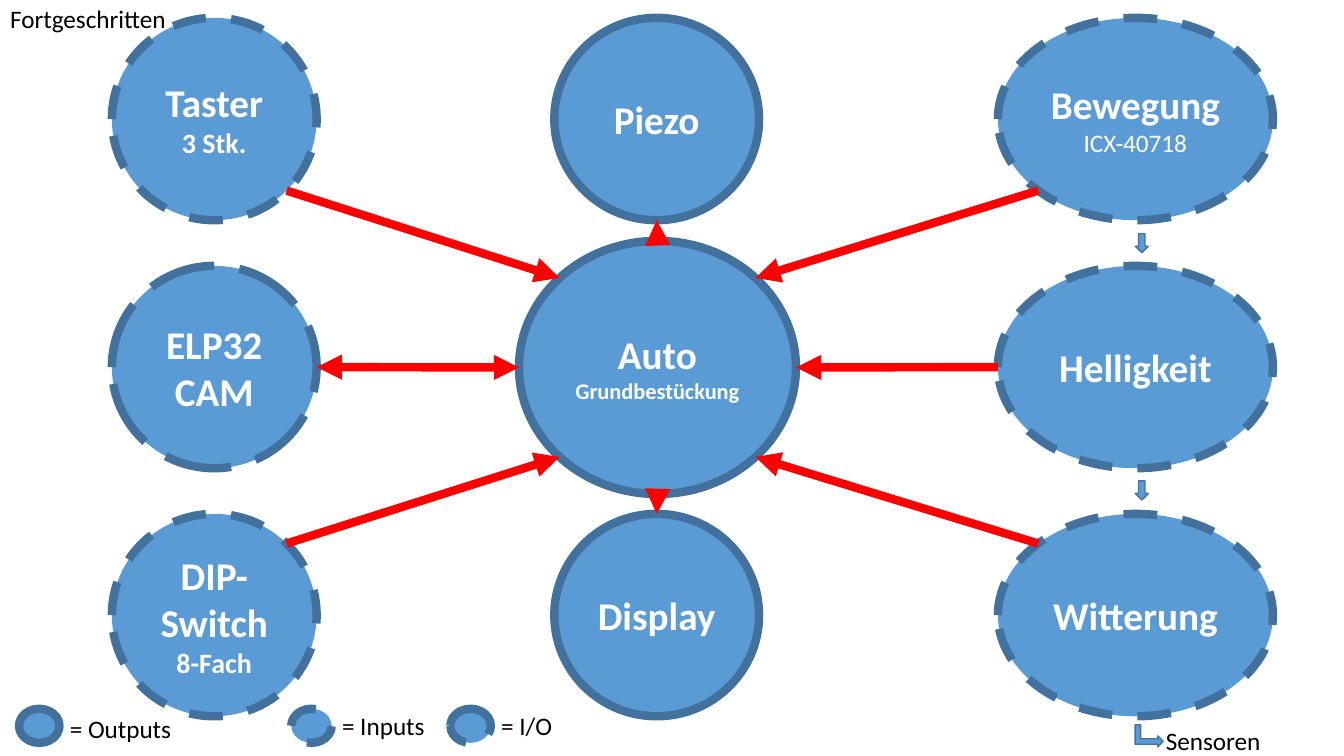
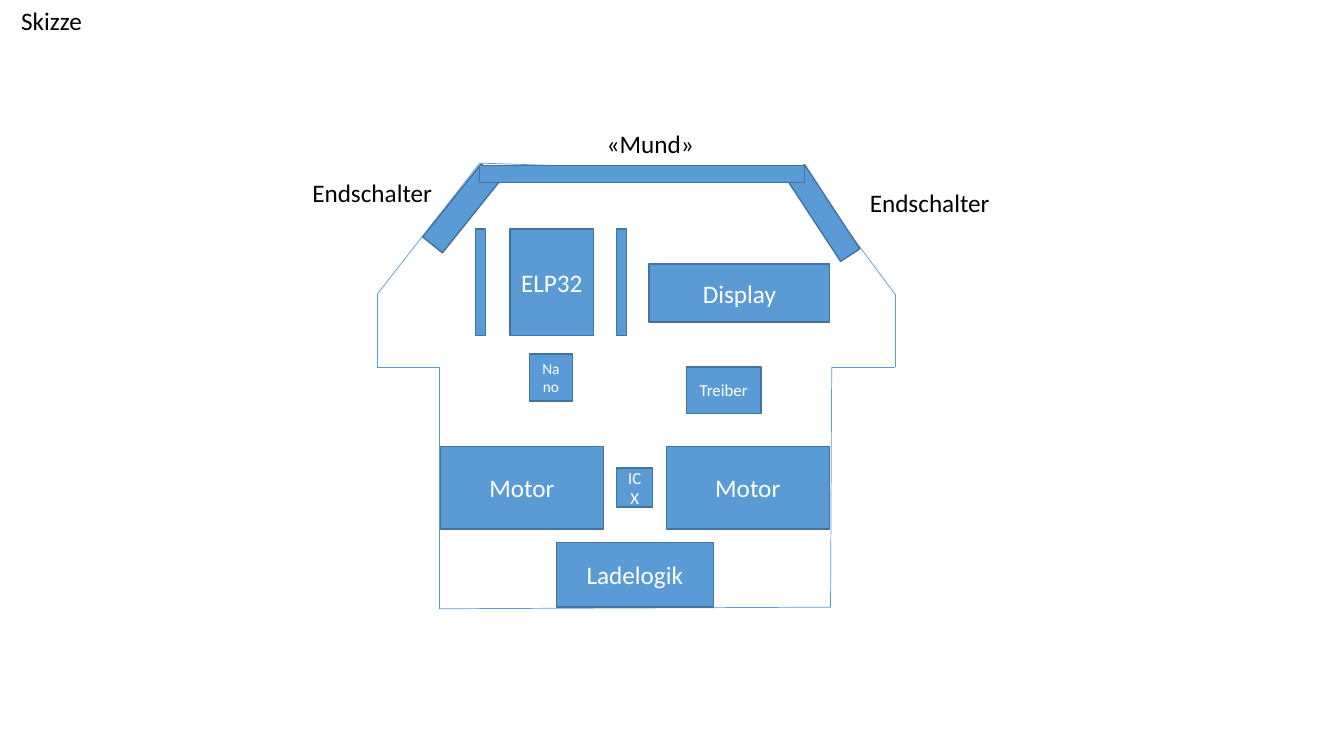
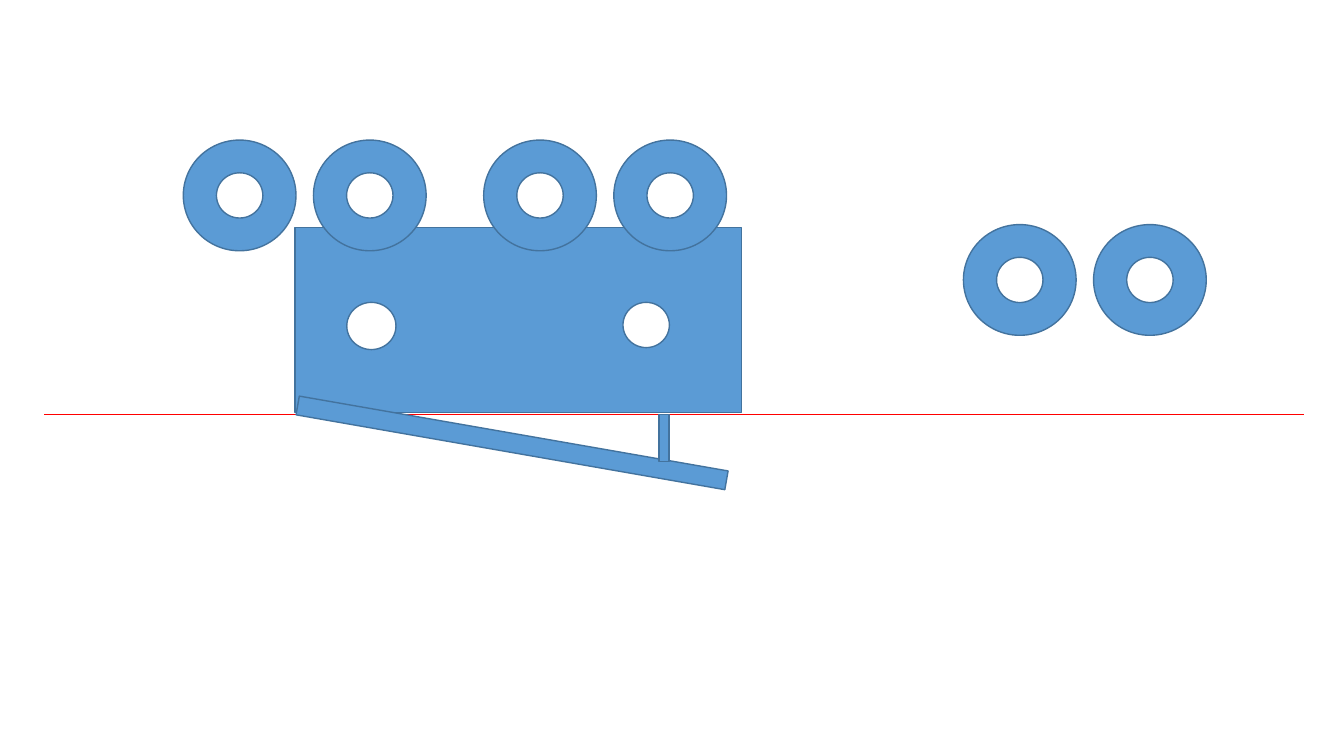
from dataclasses import dataclass
from itertools import pairwise

from lxml.etree import SubElement
from pptx import Presentation
from pptx.dml.color import RGBColor
from pptx.enum.dml import MSO_LINE as Dash
from pptx.enum.shapes import MSO_CONNECTOR, MSO_SHAPE as Kind
from pptx.enum.text import MSO_ANCHOR as Anchor, PP_ALIGN as Align
from pptx.oxml.ns import qn
from pptx.util import Cm, Pt


@dataclass(frozen=True)
class Theme:
    font: str = "Calibri"
    blue: str = "5B9BD5"
    ring: str = "41719C"
    edge: str = "43739E"
    red: str = "FF0000"
    white: str = "FFFFFF"
    black: str = "000000"
    heading: int = 28
    detail: int = 20
    body: int = 18
    note: int = 16
    small: int = 12
    tiny: int = 11
    heavy: float = 6
    thin: float = 1
    hairline: float = 0.5


THEME = Theme()

# Content, lengths in centimetres
HUB_BOX = (13.08, 6.07, 6.98, 6.38)
HUB_TEXT = [("Auto", THEME.heading, True), ("Grundbestückung", THEME.note, True)]
ROW_TOPS = [0.45, 6.7, 12.95]
NODE_HEIGHT = 5.1
COLUMNS = {-1: (2.82, 5.16), 0: (13.97, 5.16), 1: (25.15, 6.93)}
# column side, row side, dash, arrow to hub, arrow to node, text lines
NODES = [
    (-1, -1, Dash.DASH, True, False,
     [("Taster", THEME.heading, True), ("3 Stk.", THEME.detail, True)]),
    (0, -1, None, False, True, [("Piezo", THEME.heading, True)]),
    (-1, 1, Dash.DASH, True, False,
     [("DIP-Switch", THEME.heading, True), ("8-Fach", THEME.detail, True)]),
    (-1, 0, Dash.LONG_DASH, True, True, [("ELP32 CAM", THEME.heading, True)]),
    (0, 1, None, False, True, [("Display", THEME.heading, True)]),
    (1, -1, Dash.DASH, True, False,
     [("Bewegung", THEME.heading, True), ("ICX-40718", THEME.body, False)]),
    (1, 0, Dash.DASH, True, False, [("Helligkeit", THEME.heading, True)]),
    (1, 1, Dash.DASH, True, False, [("Witterung", THEME.heading, True)]),
]
LEGEND = [  # symbol left, label top, label width, dash, label
    (0.48, 17.86, 3.1, None, "= Outputs"),
    (7.34, 17.78, 2.62, Dash.DASH, "= Inputs"),
    (11.35, 17.78, 1.8, Dash.LONG_DASH, "= I/O"),
]
SENSOR_ARROWS = [
    (Kind.DOWN_ARROW, (28.61, 5.89, 0.33, 0.48), 0),
    (Kind.DOWN_ARROW, (28.61, 12.12, 0.33, 0.48), 0),
    (Kind.BENT_UP_ARROW, (28.68, 18.19, 0.56, 0.71), 90),
]

CHASSIS = [
    (11.07, 15.34), (11.07, 9.25), (9.5, 9.25), (9.5, 7.42), (12.09, 4.11),
    (20.29, 4.37), (22.56, 7.42), (22.56, 9.25), (20.96, 9.25), (20.93, 15.3),
]
PARTS = [  # box, text, size, rotation
    ((12.85, 5.77, 2.11, 2.69), "ELP32", THEME.body, 0),
    ((15.54, 5.77, 0.25, 2.69), "", THEME.body, 0),
    ((11.99, 5.77, 0.25, 2.69), "", THEME.body, 0),
    ((16.36, 6.65, 4.55, 1.47), "Display", THEME.body, 0),
    ((13.34, 8.92, 1.09, 1.19), "Nano", THEME.tiny, 0),
    ((17.3, 9.25, 1.88, 1.17), "Treiber", THEME.small, 0),
    ((16.79, 11.25, 4.11, 2.08), "Motor", THEME.body, 0),
    ((11.1, 11.25, 4.11, 2.08), "Motor", THEME.body, 0),
    ((14.02, 13.67, 3.96, 1.63), "Ladelogik", THEME.body, 0),
    ((15.54, 11.79, 0.91, 0.99), "ICX", THEME.small, 0),
    ((19.46, 5.08, 2.54, 0.58), "", THEME.body, 56.7),
    ((10.46, 4.93, 2.36, 0.64), "", THEME.body, 308.7),
    ((12.09, 4.17, 8.18, 0.43), "", THEME.body, 0),
]
PART_LABELS = [
    ("Endschalter", 21.67, 4.6, 3.56),
    ("Endschalter", 7.62, 4.34, 3.56),
    ("«Mund»", 15.04, 3.1, 2.74),
]

GROUND = ((1.12, 10.44), (32.87, 10.44))
BODY = (7.44, 5.74, 11.25, 4.65)
AXLE_HOLES = [(8.74, 7.62, 1.24, 1.19), (15.7, 7.62, 1.17, 1.14)]
RAMP, RAMP_ANGLE = (7.42, 10.92, 10.97, 0.48), 9.9
POST = (16.61, 10.44, 0.25, 1.19)
WHEEL_PAIRS = [(24.28, 5.66), (12.19, 3.53), (4.62, 3.53)]
WHEEL_STEP = 3.28
WHEEL_SIZE = (2.84, 2.79)
BORE_SIZE = (1.17, 1.14)


# Shared helpers
def write(frame, lines, color, align):
    """Fill a text frame with (text, size, bold) lines."""
    for index, (text, size, bold) in enumerate(lines):
        paragraph = frame.paragraphs[0] if index == 0 else frame.add_paragraph()
        paragraph.alignment = align
        run = paragraph.add_run()
        run.text = text
        run.font.name = THEME.font
        run.font.size = Pt(size)
        run.font.bold = bold
        run.font.color.rgb = RGBColor.from_string(color)


def add_shape(slide, kind, box, lines=(), fill=THEME.blue, edge=THEME.edge,
              width=THEME.thin, dash=None, rotation=0):
    shape = slide.shapes.add_shape(kind, *map(Cm, box))
    shape.shadow.inherit = False
    shape.rotation = rotation
    shape.fill.solid()
    shape.fill.fore_color.rgb = RGBColor.from_string(fill)
    shape.line.color.rgb = RGBColor.from_string(edge)
    shape.line.width = Pt(width)
    if dash:
        shape.line.dash_style = dash
    shape.text_frame.vertical_anchor = Anchor.MIDDLE
    write(shape.text_frame, lines, THEME.white, Align.CENTER)


def add_ring(slide, box, dash, lines=()):
    add_shape(slide, Kind.OVAL, box, lines, edge=THEME.ring, width=THEME.heavy, dash=dash)


def add_line(slide, start, end, color, width, head=False, tail=False):
    line = slide.shapes.add_connector(MSO_CONNECTOR.STRAIGHT, *map(Cm, start + end))
    line.line.color.rgb = RGBColor.from_string(color)
    line.line.width = Pt(width)
    properties = line._element.spPr
    outline = properties.find(qn("a:ln"))
    for wanted, tag in ((head, "a:headEnd"), (tail, "a:tailEnd")):
        if wanted:
            SubElement(outline, qn(tag), type="triangle")
    SubElement(properties, qn("a:effectLst"))


def format_label(frame, text):
    frame.word_wrap = False
    frame.vertical_anchor = Anchor.TOP
    write(frame, [(text, THEME.body, False)], THEME.black, Align.LEFT)


def add_label(slide, text, left, top, width):
    box = slide.shapes.add_textbox(Cm(left), Cm(top), Cm(width), Cm(1.03))
    format_label(box.text_frame, text)


def set_title(slide, text, left, top, width):
    title = slide.shapes.title
    title.left, title.top, title.width, title.height = map(Cm, (left, top, width, 1.03))
    format_label(title.text_frame, text)


def oval_point(box, across, down):
    """Point on an oval's edge in one of eight directions (-1, 0 or 1 each)."""
    left, top, width, height = box
    reach = 0.5 / (across ** 2 + down ** 2) ** 0.5
    return (left + width * (0.5 + across * reach), top + height * (0.5 + down * reach))


presentation = Presentation()
presentation.slide_width, presentation.slide_height = Cm(33.87), Cm(19.05)
title_layout, blank_layout = presentation.slide_layouts[5], presentation.slide_layouts[6]

# Slide 1: modules around the hub
slide = presentation.slides.add_slide(title_layout)
set_title(slide, "Fortgeschritten", 0, -0.05, 4.5)
add_ring(slide, HUB_BOX, None, HUB_TEXT)
node_boxes = []
for across, down, dash, to_hub, to_node, lines in NODES:
    left, width = COLUMNS[across]
    box = (left, ROW_TOPS[down + 1], width, NODE_HEIGHT)
    node_boxes.append(box)
    add_ring(slide, box, dash, lines)
for box, (across, down, dash, to_hub, to_node, lines) in zip(node_boxes, NODES):
    add_line(slide, oval_point(box, -across, -down), oval_point(HUB_BOX, across, down),
             THEME.red, THEME.heavy, head=to_node, tail=to_hub)
for left, top, width, dash, text in LEGEND:
    add_ring(slide, (left, 17.86, 1.02, 0.86), dash)
    add_label(slide, text, left + 1.03, top, width)
for kind, box, rotation in SENSOR_ARROWS:
    add_shape(slide, kind, box, rotation=rotation)
add_label(slide, "Sensoren", 29.13, 18.14, 2.92)

# Slide 2: sketch of the vehicle from above
slide = presentation.slides.add_slide(title_layout)
set_title(slide, "Skizze", 0.28, 0, 2.06)
for start, end in pairwise(CHASSIS + CHASSIS[:1]):
    add_line(slide, start, end, THEME.blue, THEME.hairline)
for box, text, size, rotation in PARTS:
    lines = [(text, size, False)] if text else []
    add_shape(slide, Kind.RECTANGLE, box, lines, rotation=rotation)
for label in PART_LABELS:
    add_label(slide, *label)

# Slide 3: side view with wheels
slide = presentation.slides.add_slide(blank_layout)
add_line(slide, *GROUND, THEME.red, THEME.hairline)
add_shape(slide, Kind.RECTANGLE, BODY)
for hole in AXLE_HOLES:
    add_shape(slide, Kind.OVAL, hole, fill=THEME.white)
add_shape(slide, Kind.RECTANGLE, RAMP, rotation=RAMP_ANGLE)
add_shape(slide, Kind.RECTANGLE, POST)
for pair_left, top in WHEEL_PAIRS:
    for left in (pair_left, pair_left + WHEEL_STEP):
        bore_left = left + (WHEEL_SIZE[0] - BORE_SIZE[0]) / 2
        bore_top = top + (WHEEL_SIZE[1] - BORE_SIZE[1]) / 2
        add_shape(slide, Kind.OVAL, (left, top, *WHEEL_SIZE))
        add_shape(slide, Kind.OVAL, (bore_left, bore_top, *BORE_SIZE), fill=THEME.white)

presentation.save("out.pptx")
